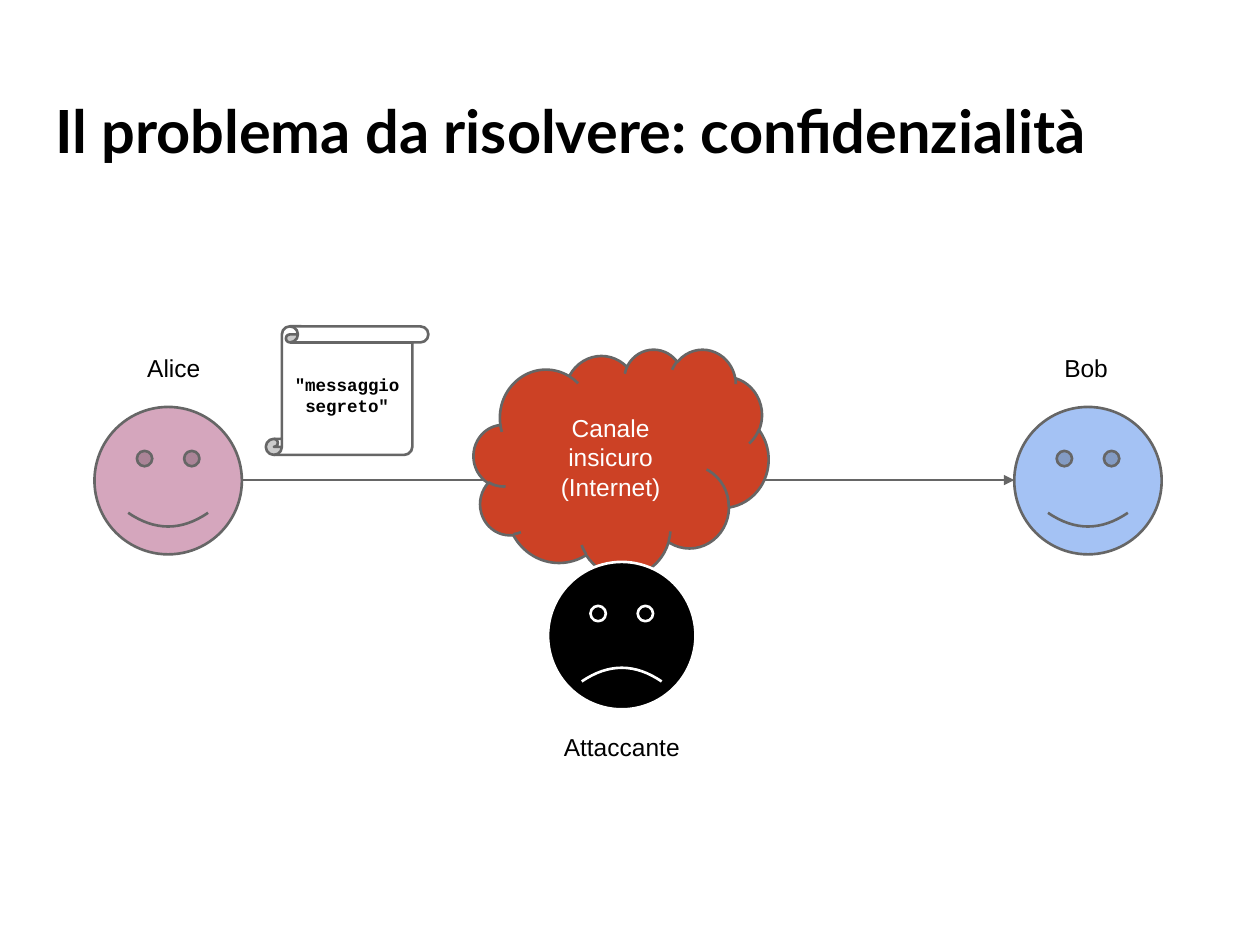
from lxml import etree
from pptx import Presentation
from pptx.dml.color import RGBColor
from pptx.enum.shapes import MSO_CONNECTOR, MSO_SHAPE
from pptx.enum.text import MSO_ANCHOR, PP_ALIGN
from pptx.oxml.ns import qn
from pptx.util import Inches, Pt

BLACK = RGBColor(0x00, 0x00, 0x00)
WHITE = RGBColor(0xFF, 0xFF, 0xFF)
GRAY = RGBColor(0x66, 0x66, 0x66)
PINK = RGBColor(0xD5, 0xA6, 0xBD)
BLUE = RGBColor(0xA4, 0xC2, 0xF4)
RED = RGBColor(0xCC, 0x41, 0x25)

FACE = MSO_SHAPE.SMILEY_FACE
CLOUD = MSO_SHAPE.CLOUD
SCROLL = MSO_SHAPE.VERTICAL_SCROLL
STRAIGHT = MSO_CONNECTOR.STRAIGHT
TOP, MIDDLE = MSO_ANCHOR.TOP, MSO_ANCHOR.MIDDLE
LEFT, CENTER = PP_ALIGN.LEFT, PP_ALIGN.CENTER

SIZE = 1.17
FACE_TOP = 3.23
ALICE_X, BOB_X = 0.75, 8.05
LINE_Y = 3.81
SMILE = 0.047

TITLE = {"name": "Lato", "size": Pt(34), "bold": True}
LABEL = {"name": "Arial", "size": Pt(14)}
NOTE = {"name": "Courier New", "size": Pt(10), "bold": True}


def write(shape, lines, font, color=BLACK, align=CENTER, anchor=MIDDLE):
    frame = shape.text_frame
    frame.word_wrap = True
    frame.vertical_anchor = anchor
    for side in ("left", "top", "right", "bottom"):
        setattr(frame, "margin_" + side, Inches(0.1))
    for i, line in enumerate(lines):
        para = frame.add_paragraph() if i else frame.paragraphs[0]
        para.alignment = align
        run = para.add_run()
        run.text = line
        for key, value in font.items():
            setattr(run.font, key, value)
        run.font.color.rgb = color


def add_text(slide, box, line, font, **style):
    shape = slide.shapes.add_textbox(*map(Inches, box))
    write(shape, [line], font, **style)


def add_form(slide, kind, box, fill, edge=GRAY):
    shape = slide.shapes.add_shape(kind, *map(Inches, box))
    shape.shadow.inherit = False
    shape.fill.solid()
    shape.fill.fore_color.rgb = fill
    shape.line.color.rgb = edge
    shape.line.width = Pt(1.5)
    return shape


def add_face(slide, x, y, fill, edge=GRAY, smile=SMILE):
    face = add_form(slide, FACE, (x, y, SIZE, SIZE), fill, edge)
    face.adjustments[0] = smile


def add_arrow(slide, start, end):
    line = slide.shapes.add_connector(STRAIGHT, *map(Inches, start + end))
    line.line.color.rgb = GRAY
    line.line.width = Pt(1.5)
    tip = etree.SubElement(line.line._get_or_add_ln(), qn("a:tailEnd"))
    tip.set("type", "triangle")
    etree.SubElement(line._element.spPr, qn("a:effectLst"))


def main():
    deck = Presentation()
    deck.slide_width, deck.slide_height = Inches(10), Inches(7.5)
    slide = deck.slides.add_slide(deck.slide_layouts[6])

    add_text(slide, (0.34, 0.65, 9.32, 0.83),
             "Il problema da risolvere: confidenzialità",
             TITLE, align=LEFT, anchor=TOP)
    add_arrow(slide, (ALICE_X + SIZE, LINE_Y), (BOB_X, LINE_Y))
    add_face(slide, ALICE_X, FACE_TOP, PINK)
    add_face(slide, BOB_X, FACE_TOP, BLUE)

    cloud = add_form(slide, CLOUD, (3.76, 2.77, 2.34, 1.8), RED)
    write(cloud, ["Canale insicuro", "(Internet)"], LABEL, color=WHITE)
    scroll = add_form(slide, SCROLL, (2.11, 2.59, 1.29, 1.02), WHITE)
    write(scroll, ['"messaggio segreto"'], NOTE)
    add_face(slide, 4.35, 4.46, BLACK, WHITE, -SMILE)

    for name, x, y, width in (("Alice", 0.73, 2.77, 1.3),
                              ("Bob", 7.97, 2.77, 1.3),
                              ("Attaccante", 4.21, 5.78, 1.45)):
        add_text(slide, (x, y, width, 0.29), name, LABEL)

    deck.save("out.pptx")


if __name__ == "__main__":
    main()
